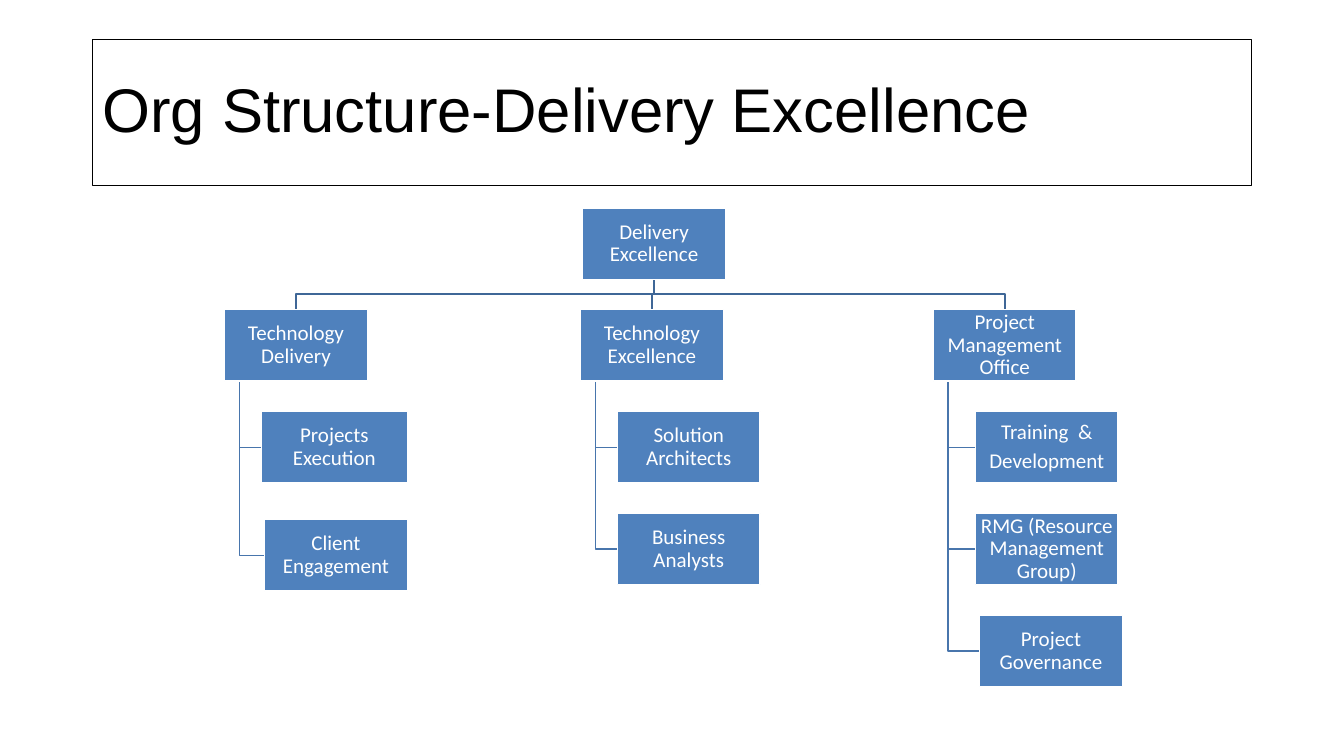
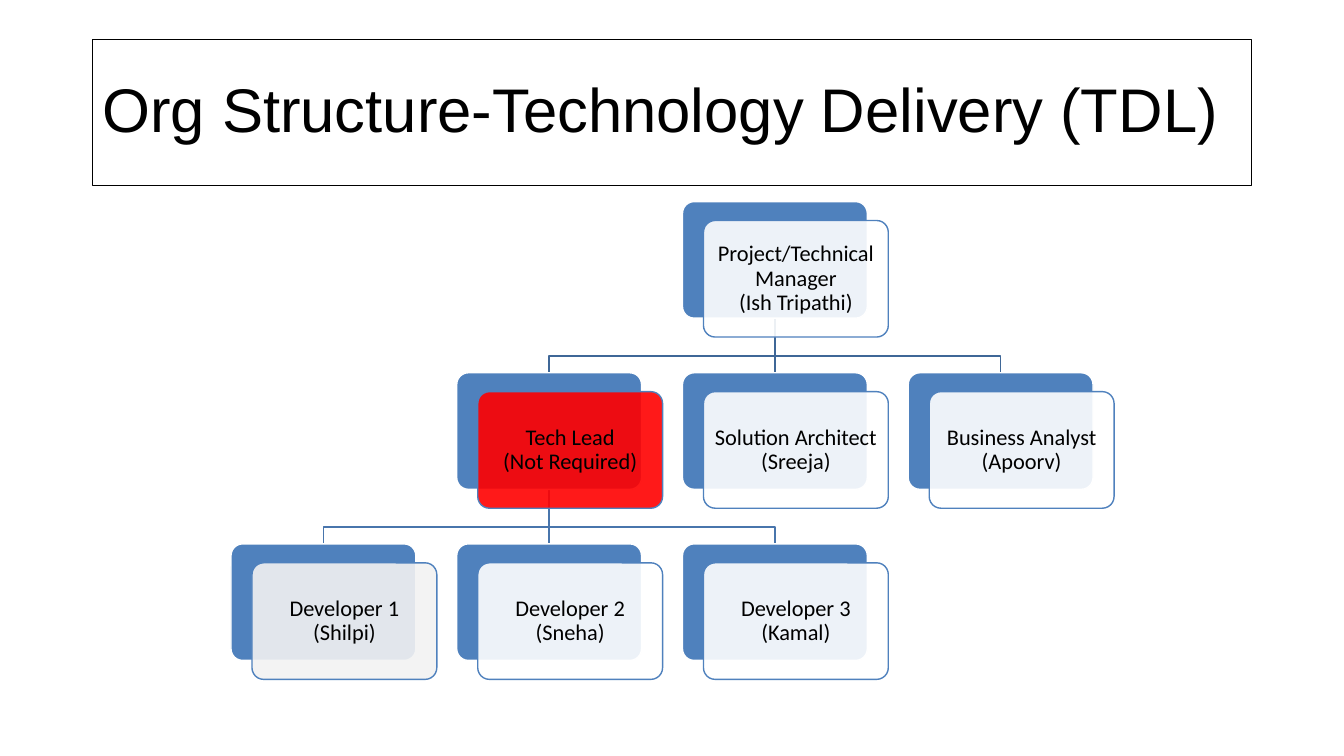
from dataclasses import dataclass

from lxml import etree
from pptx import Presentation
from pptx.dml.color import RGBColor
from pptx.enum.shapes import MSO_CONNECTOR, MSO_SHAPE
from pptx.enum.text import MSO_ANCHOR, MSO_AUTO_SIZE, PP_ALIGN
from pptx.oxml.ns import qn
from pptx.presentation import Presentation as Deck
from pptx.shapes.autoshape import Shape
from pptx.slide import Slide
from pptx.util import Emu, Pt

STRAIGHT = MSO_CONNECTOR.STRAIGHT
RECTANGLE = MSO_SHAPE.RECTANGLE
ROUNDED = MSO_SHAPE.ROUNDED_RECTANGLE
MIDDLE = MSO_ANCHOR.MIDDLE
NO_AUTOFIT = MSO_AUTO_SIZE.NONE
LEFT, CENTER = PP_ALIGN.LEFT, PP_ALIGN.CENTER

EMU_PER_PX = 9525
SLIDE_WIDTH, SLIDE_HEIGHT = 1280, 720
TITLE_ONLY_LAYOUT = 5

BLACK = RGBColor(0x00, 0x00, 0x00)
WHITE = RGBColor(0xFF, 0xFF, 0xFF)
BLUE = RGBColor(0x4F, 0x81, 0xBD)
UPPER_LINE = RGBColor(0x3F, 0x67, 0x97)
LOWER_LINE = RGBColor(0x48, 0x75, 0xAC)
RED = RGBColor(0xFF, 0x00, 0x00)
LIGHT_GRAY = RGBColor(0xF2, 0xF2, 0xF2)

TITLE_FONT, BODY_FONT = "Arial", "Calibri"
LINE_SPACING = 0.9

# Department chart
UNIT_WIDTH, UNIT_HEIGHT = 136, 68
UNIT_TOP, UNIT_PITCH = 198, 97
SPINE_INSET = 14
UNIT_BUS_GAP = 15

# Team chart
CARD_WIDTH, CARD_HEIGHT = 176, 111
CARD_LEFT, CARD_TOP = 220, 192
CARD_PITCH_X, CARD_PITCH_Y = 215, 163
FRONT_SHIFT_X, FRONT_SHIFT_Y = 20, 18
CARD_BUS_GAP = 16
FRONT_OPACITY = 90

Point = tuple[int, int]


@dataclass(frozen=True)
class Box:
    left: int
    top: int
    width: int
    height: int

    @property
    def center_x(self) -> int:
        return self.left + self.width // 2

    @property
    def center_y(self) -> int:
        return self.top + self.height // 2

    @property
    def bottom(self) -> int:
        return self.top + self.height


@dataclass(frozen=True)
class Unit:
    """A department; nudge moves it below its row."""

    name: str
    left: int
    row: int
    width: int = UNIT_WIDTH
    nudge: int = 0

    @property
    def box(self) -> Box:
        top = UNIT_TOP + self.row * UNIT_PITCH + self.nudge
        return Box(self.left, top, self.width, UNIT_HEIGHT)


@dataclass(frozen=True)
class Division:
    head: Unit
    members: tuple[Unit, ...]


@dataclass(frozen=True)
class Card:
    role: str
    person: str
    column: int
    row: int
    fill: RGBColor = WHITE

    @property
    def box(self) -> Box:
        left = CARD_LEFT + self.column * CARD_PITCH_X
        top = CARD_TOP + self.row * CARD_PITCH_Y
        return Box(left, top, CARD_WIDTH, CARD_HEIGHT)


EXCELLENCE = Unit("Delivery Excellence", 555, 0)
DIVISIONS = (
    Division(
        Unit("Technology Delivery", 214, 1),
        (
            Unit("Projects Execution", 249, 2, width=139),
            Unit("Client Engagement", 252, 3, nudge=6),
        ),
    ),
    Division(
        Unit("Technology Excellence", 553, 1),
        (Unit("Solution Architects", 588, 2), Unit("Business Analysts", 588, 3)),
    ),
    Division(
        Unit("Project Management Office", 889, 1),
        (
            Unit("Training  &\nDevelopment", 929, 2),
            Unit("RMG (Resource Management Group)", 929, 3),
            Unit("Project Governance", 933, 4),
        ),
    ),
)

MANAGER = Card("Project/Technical Manager", "Ish Tripathi", 2, 0)
TECH_LEAD = Card("Tech Lead", "Not Required", 1, 1, RED)
LEADS = (
    TECH_LEAD,
    Card("Solution Architect", "Sreeja", 2, 1),
    Card("Business Analyst", "Apoorv", 3, 1),
)
DEVELOPERS = (
    Card("Developer 1", "Shilpi", 0, 2, LIGHT_GRAY),
    Card("Developer 2", "Sneha", 1, 2),
    Card("Developer 3", "Kamal", 2, 2),
)


def px(length: int) -> Emu:
    return Emu(length * EMU_PER_PX)


def add_titled_slide(presentation: Deck, text: str) -> Slide:
    slide = presentation.slides.add_slide(presentation.slide_layouts[TITLE_ONLY_LAYOUT])
    title = slide.shapes.title
    title.left, title.top, title.width, title.height = map(px, (88, 38, 1104, 139))
    title.line.color.rgb = BLACK
    title.line.width = Pt(0.75)
    frame = title.text_frame
    frame.text = text
    frame.vertical_anchor = MIDDLE
    frame.auto_size = NO_AUTOFIT
    paragraph = frame.paragraphs[0]
    paragraph.alignment = LEFT
    paragraph.line_spacing = LINE_SPACING
    paragraph.font.name = TITLE_FONT
    paragraph.font.size = Pt(44)
    paragraph.font.color.rgb = BLACK
    return slide


def draw_path(slide: Slide, points: list[Point], color: RGBColor) -> None:
    """Draw a straight connector for two points, an open outline for more."""
    if len(points) == 2:
        (x1, y1), (x2, y2) = points
        shape = slide.shapes.add_connector(STRAIGHT, px(x1), px(y1), px(x2), px(y2))
        etree.SubElement(shape.element.spPr, qn("a:effectLst"))
    else:
        builder = slide.shapes.build_freeform(*points[0], scale=EMU_PER_PX)
        builder.add_line_segments(points[1:], close=False)
        shape = builder.convert_to_shape()
        shape.fill.background()
        shape.shadow.inherit = False
    shape.line.color.rgb = color
    shape.line.width = Pt(1)


def link_down(slide: Slide, parent: Box, child: Box, bus_gap: int, color: RGBColor) -> None:
    """Link the parent's bottom to the child's top, turning bus_gap above the child."""
    start, end = (parent.center_x, parent.bottom), (child.center_x, child.top)
    bus_y = child.top - bus_gap
    bends = [(start[0], bus_y), (end[0], bus_y)] if start[0] != end[0] else []
    draw_path(slide, [start, *bends, end], color)


def link_from_spine(slide: Slide, head: Box, member: Box) -> None:
    spine_x = head.left + SPINE_INSET
    points = [
        (spine_x, head.bottom),
        (spine_x, member.center_y),
        (member.left, member.center_y),
    ]
    draw_path(slide, points, LOWER_LINE)


def add_box(slide: Slide, kind: MSO_SHAPE, box: Box, fill: RGBColor, line: RGBColor) -> Shape:
    shape = slide.shapes.add_shape(
        kind, px(box.left), px(box.top), px(box.width), px(box.height)
    )
    shape.shadow.inherit = False
    shape.fill.solid()
    shape.fill.fore_color.rgb = fill
    shape.line.color.rgb = line
    shape.line.width = Pt(1)
    if kind == ROUNDED:
        shape.adjustments[0] = 0.1
    return shape


def set_opacity(shape: Shape, percent: int) -> None:
    color = shape.element.spPr.find(qn("a:solidFill"))[0]
    etree.SubElement(color, qn("a:alpha"), val=str(percent * 1000))


def write_text(
    shape: Shape, text: str, size: int, color: RGBColor, inset: int, gap: int
) -> None:
    frame = shape.text_frame
    frame.text = text
    frame.word_wrap = True
    frame.vertical_anchor = MIDDLE
    frame.margin_left = frame.margin_right = px(inset)
    frame.margin_top = frame.margin_bottom = px(inset)
    for paragraph in frame.paragraphs:
        paragraph.alignment = CENTER
        paragraph.line_spacing = LINE_SPACING
        paragraph.space_after = Pt(gap)
        paragraph.font.name = BODY_FONT
        paragraph.font.size = Pt(size)
        paragraph.font.color.rgb = color


def draw_unit(slide: Slide, unit: Unit) -> None:
    shape = add_box(slide, RECTANGLE, unit.box, BLUE, WHITE)
    write_text(shape, unit.name, size=15, color=WHITE, inset=1, gap=5)


def draw_card(slide: Slide, card: Card) -> None:
    back = card.box
    front = Box(
        back.left + FRONT_SHIFT_X, back.top + FRONT_SHIFT_Y, back.width, back.height
    )
    add_box(slide, ROUNDED, back, BLUE, WHITE)
    shape = add_box(slide, ROUNDED, front, card.fill, BLUE)
    set_opacity(shape, FRONT_OPACITY)
    text = f"{card.role}\n({card.person})"
    write_text(shape, text, size=16, color=BLACK, inset=7, gap=0)


def build_department_slide(presentation: Deck) -> None:
    slide = add_titled_slide(presentation, "Org Structure-Delivery Excellence")
    for division in DIVISIONS:
        head = division.head.box
        link_down(slide, EXCELLENCE.box, head, UNIT_BUS_GAP, UPPER_LINE)
        for member in division.members:
            link_from_spine(slide, head, member.box)
    draw_unit(slide, EXCELLENCE)
    for division in DIVISIONS:
        for unit in (division.head, *division.members):
            draw_unit(slide, unit)


def build_team_slide(presentation: Deck) -> None:
    slide = add_titled_slide(presentation, "Org Structure-Technology Delivery (TDL)")
    levels = ((MANAGER, LEADS, UPPER_LINE), (TECH_LEAD, DEVELOPERS, LOWER_LINE))
    for parent, reports, color in levels:
        for report in reports:
            link_down(slide, parent.box, report.box, CARD_BUS_GAP, color)
    for card in (MANAGER, *LEADS, *DEVELOPERS):
        draw_card(slide, card)


def main() -> None:
    presentation = Presentation()
    presentation.slide_width = px(SLIDE_WIDTH)
    presentation.slide_height = px(SLIDE_HEIGHT)
    build_department_slide(presentation)
    build_team_slide(presentation)
    presentation.save("out.pptx")


if __name__ == "__main__":
    main()
